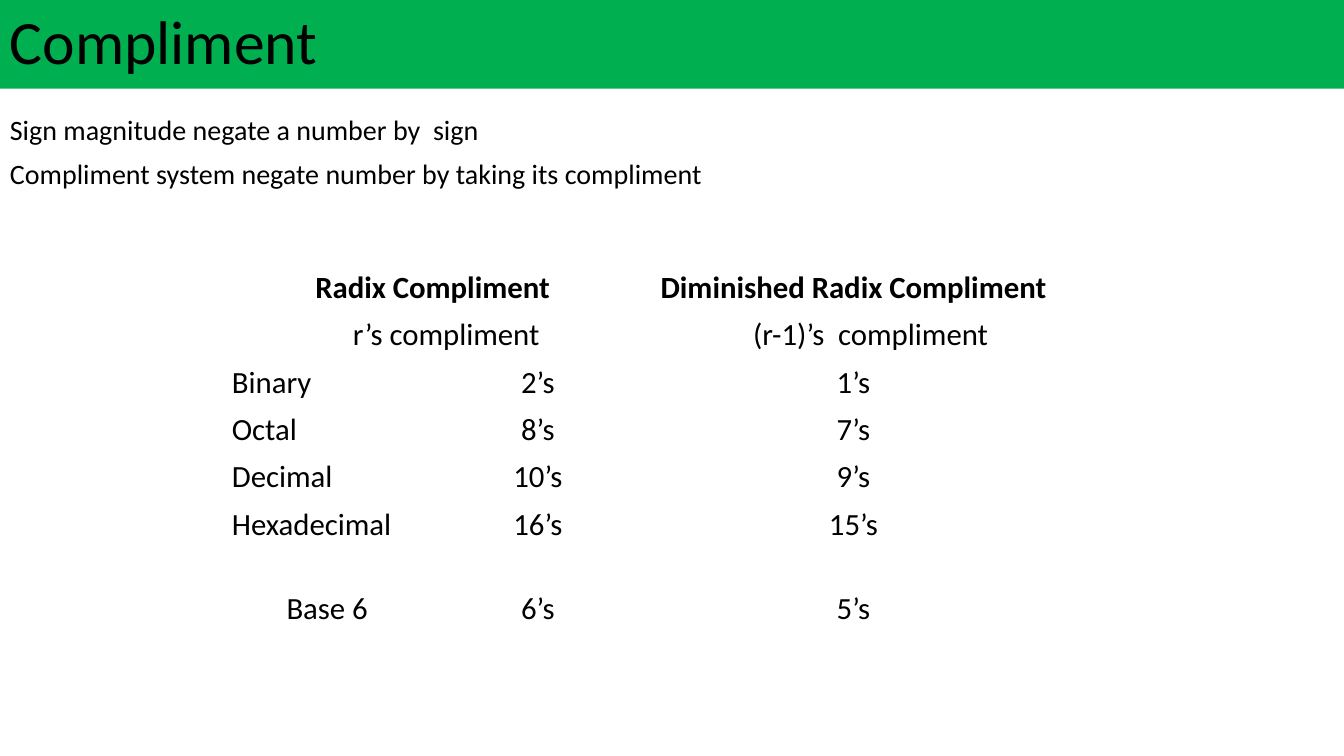
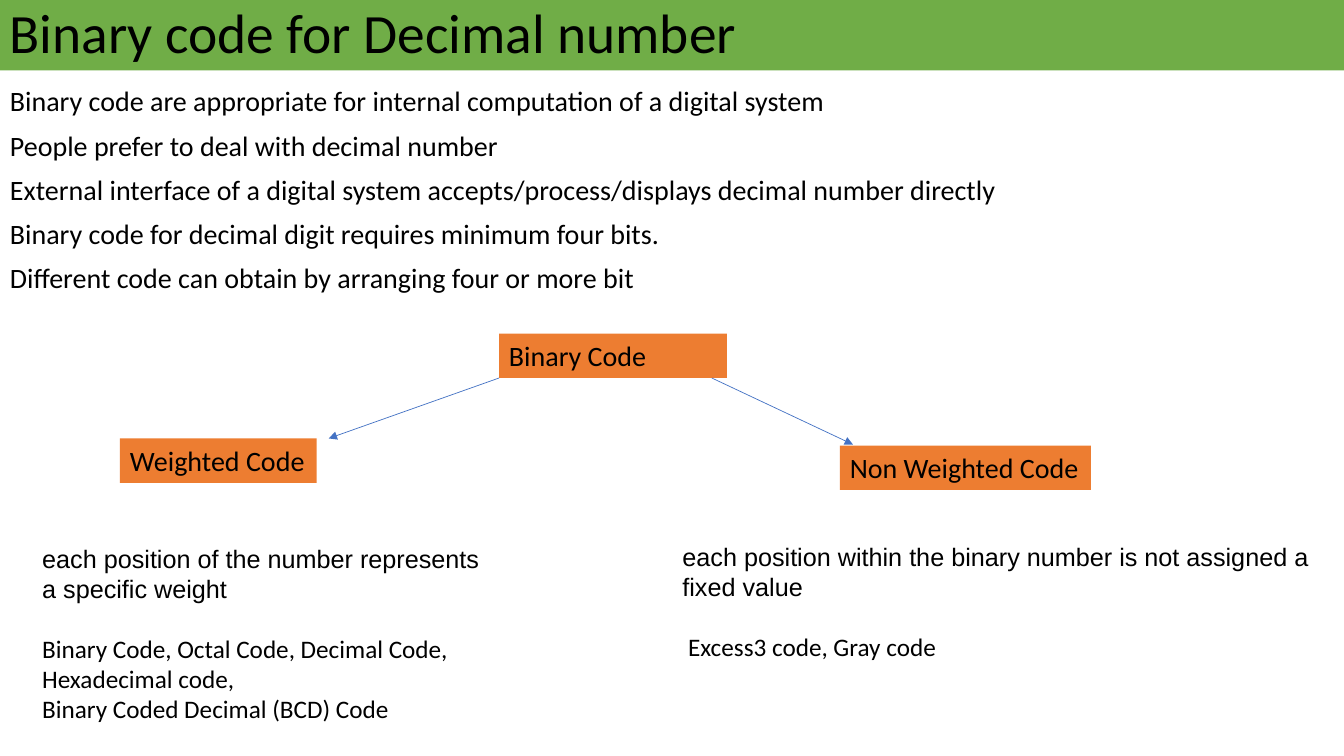
from pptx import Presentation
from pptx import util as u
from pptx.dml.color import RGBColor
from pptx.enum import shapes, text
from pptx.oxml import parse_xml
from pptx.oxml.ns import nsdecls


class Deck:
    """Holds the shared style and the slide being filled."""

    COLOURS = {"ink": "000000", "emerald": "00B050", "leaf": "70AD47",
               "orange": "ED7D31", "arrow": "4472C4"}
    WIDTH, HEIGHT = 13.33, 7.5
    LEFT, CENTRE = text.PP_ALIGN.LEFT, text.PP_ALIGN.CENTER
    BODY = {"line_spacing": 0.9, "space_before": u.Pt(10)}

    def __init__(self):
        self.prs = Presentation()
        self.prs.slide_width = u.Inches(self.WIDTH)
        self.prs.slide_height = u.Inches(self.HEIGHT)
        self.slide = None

    def colour(self, name):
        return RGBColor.from_string(self.COLOURS[name])

    def style(self, target, formats):
        for name, value in formats.items():
            setattr(target, name, value)

    def wording(self, paragraph, words, size, font="Calibri", bold=False, **layout):
        run = paragraph.add_run()
        run.text = words
        self.style(run.font, {"name": font, "size": u.Pt(size), "bold": bold})
        run.font.color.rgb = self.colour("ink")
        self.style(paragraph, {"alignment": self.LEFT, **layout})

    def panel(self, box, entries, size, fill=None, wrap=True,
              anchor=text.MSO_ANCHOR.TOP):
        panel = self.slide.shapes.add_textbox(*map(u.Inches, box))
        if fill:
            panel.fill.solid()
            panel.fill.fore_color.rgb = self.colour(fill)
        frame = panel.text_frame
        self.style(frame, {"word_wrap": wrap, "vertical_anchor": anchor})
        for index, (words, formats) in enumerate(entries):
            paragraph = frame.add_paragraph() if index else frame.paragraphs[0]
            self.wording(paragraph, words, size, **formats)

    def start(self, title, height, fill, size):
        self.slide = self.prs.slides.add_slide(self.prs.slide_layouts[6])
        self.panel((0, 0, self.WIDTH, height), [(title, {"line_spacing": 0.9})],
                   size, fill, anchor=text.MSO_ANCHOR.MIDDLE)

    def body(self, box, lines):
        self.panel(box, [(line, self.BODY) for line in lines], 20)

    def label(self, box, words, wrap=False):
        self.panel(box, [(words, {})], 20, "orange", wrap)

    def description(self, box, meaning, examples):
        entries = [(meaning, {"font": "Arial"})]
        for index, example in enumerate(examples):
            entries.append((example, {"space_before": u.Pt(0 if index else 21)}))
        self.panel(box, entries, 18)

    def arrow(self, start, end):
        arrow = self.slide.shapes.add_connector(
            shapes.MSO_CONNECTOR.STRAIGHT, *map(u.Inches, start + end))
        arrow.line.color.rgb = self.colour("arrow")
        arrow.line.width = u.Pt(0.5)
        properties = arrow._element.spPr
        properties.ln.append(
            parse_xml(f'<a:tailEnd {nsdecls("a")} type="triangle"/>'))
        properties.append(parse_xml(f'<a:effectLst {nsdecls("a")}/>'))

    def table(self, left, top, widths, heights, rows, merges, indents):
        table = self.slide.shapes.add_table(
            len(rows), len(widths),
            *map(u.Inches, (left, top, sum(widths), sum(heights)))).table
        self.style(table, {"first_row": False, "horz_banding": False})
        for column, width in zip(table.columns, widths):
            column.width = u.Inches(width)
        for row, height in zip(table.rows, heights):
            row.height = u.Inches(height)
        for first, last in merges:
            table.cell(*first).merge(table.cell(*last))
        for r, row in enumerate(rows):
            for c, words in enumerate(row):
                cell = table.cell(r, c)
                cell.fill.background()
                if words:
                    side = self.LEFT if c == 0 and 2 <= r <= 5 else self.CENTRE
                    self.wording(cell.text_frame.paragraphs[0], words, 22,
                                 bold=r == 0, alignment=side)
        for place, indent in indents.items():
            table.cell(*place).margin_left = u.Inches(indent)


def compliment(deck):
    deck.start("Compliment", 0.88, "emerald", 44)
    deck.body((0, 1.1, 13.33, 6.4), [
        "Sign magnitude negate a number by  sign",
        "Compliment system negate number by taking its compliment"])
    rows = [("Radix Compliment", "", "Diminished Radix Compliment"),
            ("r’s compliment", "", "(r-1)’s  compliment"),
            ("Binary", "2’s", "1’s"),
            ("Octal", "8’s", "7’s"),
            ("Decimal", "10’s", "9’s"),
            ("Hexadecimal", "16’s", "15’s"),
            ("Base 6", "6’s", "5’s")]
    deck.table(2.2, 2.62, [2.09, 2.09, 4.17], [0.47] * 5 + [0.84, 0.47], rows,
               merges=[((r, 0), (r, 1)) for r in range(2)],
               indents={(1, 0): 0.37, (1, 2): 0.44})


def binary_code(deck):
    deck.start("Binary code for Decimal number", 0.7, "leaf", 39.6)
    deck.body((0, 0.82, 12.79, 2.27), [
        "Binary code are appropriate for internal computation of a digital system",
        "People prefer to deal with decimal number",
        "External interface of a digital system accepts/process/displays decimal number directly",
        "Binary code for decimal digit requires minimum four bits.",
        "Different code can obtain by arranging four or more bit"])
    deck.label((4.95, 3.31, 2.26, 0.44), "Binary Code", wrap=True)
    deck.label((1.19, 4.35, 1.95, 0.44), "Weighted Code")
    deck.label((8.33, 4.42, 2.49, 0.44), "Non Weighted Code")
    deck.description(
        (0.32, 5.34, 4.63, 1.92),
        "each position of the number represents a specific weight",
        ["Binary Code, Octal Code, Decimal Code, Hexadecimal code,",
         "Binary Coded Decimal (BCD) Code"])
    deck.description(
        (6.67, 5.32, 6.67, 1.31),
        "each position within the binary number is not assigned a fixed value",
        [" Excess3 code, Gray code"])
    deck.arrow((4.95, 3.75), (3.26, 4.35))
    deck.arrow((7.06, 3.75), (8.46, 4.41))


def main():
    deck = Deck()
    compliment(deck)
    binary_code(deck)
    deck.prs.save("out.pptx")


if __name__ == "__main__":
    main()
